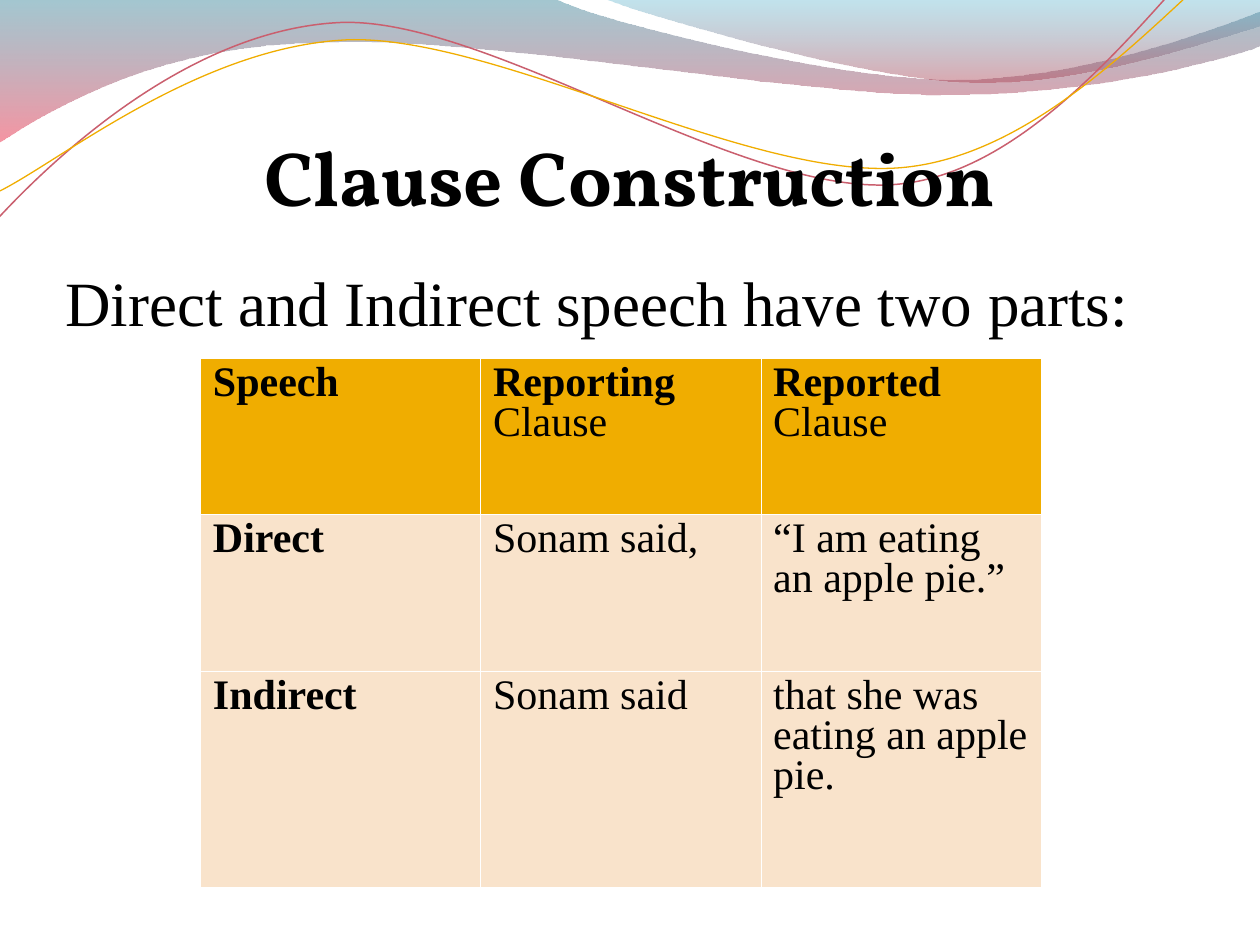
from lxml import etree
from pptx import Presentation, util as u
from pptx.dml.color import RGBColor
from pptx.enum import text
from pptx.oxml import ns

Inches, Pt = u.Inches, u.Pt

BLACK = RGBColor(0x00, 0x00, 0x00)
WHITE = RGBColor(0xFF, 0xFF, 0xFF)
GOLD = RGBColor(0xF0, 0xAD, 0x00)
CREAM = RGBColor(0xF9, 0xE3, 0xCB)
ROSE = RGBColor(0xCA, 0x5F, 0x6E)
TEAL = RGBColor(0x3C, 0x89, 0x9D)
CORAL = RGBColor(0xEF, 0x43, 0x5B)
SKY = RGBColor(0x40, 0xAA, 0xC7)
CRIMSON = RGBColor(0xB6, 0x40, 0x50)

SERIF = "Times New Roman"
DISPLAY = "Vollkorn"

# Outlines in inches: a point pair is a line, three point pairs are a Bezier curve
BROAD_WAVE = [(0, -0.01), (4.4, -0.01),
              (4.76, 0.17, 6.64, 0.63, 7.58, 0.63),
              (8.53, 0.63, 9.58, 0.26, 10, 0.09),
              (10.01, 0.36),
              (9.83, 0.44, 8.7, 0.76, 7.46, 0.75),
              (6.22, 0.75, 3.82, 0.28, 2.57, 0.34),
              (1.29, 0.35, 0.46, 0.83, -0.01, 1.13),
              (0, -0.01)]
RIGHT_WAVE = [(4.79, -0.01),
              (5.09, 0.11, 6.82, 0.62, 7.69, 0.65),
              (8.56, 0.69, 9.61, 0.32, 10, 0.21),
              (10, 0), (4.79, -0.01)]
# The strands are level here and tilted as shapes
STRAND_TILT = 357
ROSE_STRAND = [(-0.09, 1.49),
               (0.4, 1.01, 1.53, 0.05, 2.73, 0.06),
               (3.93, 0.08, 5.91, 1.67, 7.13, 1.57),
               (8.35, 1.48, 9.44, -0.09, 10.05, -0.52)]
GOLD_STRAND = [(-0.08, 1.27),
               (0.4, 1.08, 1.59, 0.18, 2.8, 0.2),
               (4.01, 0.24, 5.97, 1.52, 7.17, 1.44),
               (8.39, 1.36, 9.46, 0.08, 10.07, -0.27)]

CLAUSES = [["Speech", "Reporting Clause", "Reported Clause"],
           ["Direct", "Sonam said,", "“I am eating an apple pie.”"],
           ["Indirect", "Sonam said", "that she was eating an apple pie."]]
ROW_HEIGHTS = [1.24, 1.25, 1.71]


def add_curve(shapes, left, top, outline, close):
    """Draw an outline, bending each run of three points into one Bezier curve."""
    points = [(Inches(left + step[i]), Inches(top + step[i + 1]))
              for step in outline for i in range(0, len(step), 2)]
    builder = shapes.build_freeform(*points[0], scale=1.0)
    builder.add_line_segments(points[1:], close=close)
    curve = builder.convert_to_shape()
    curve.shadow.inherit = False
    segments = iter(list(curve._element.iter(ns.qn("a:lnTo"))))
    for step in outline[1:]:
        segment = next(segments)
        if len(step) == 6:
            segment.tag = ns.qn("a:cubicBezTo")
            for _ in range(2):
                control = next(segments)
                segment.append(control[0])
                control.getparent().remove(control)
    return curve


def add_wave(shapes, left, top, outline, stops):
    wave = add_curve(shapes, left, top, outline, close=True)
    wave.line.fill.background()
    wave.fill.gradient()
    wave.fill.gradient_angle = 270
    for stop, (color, _) in zip(wave.fill.gradient_stops, stops):
        stop.color.rgb = color
    for tint, (_, opacity) in zip(wave._element.spPr.iter(ns.qn("a:srgbClr")), stops):
        etree.SubElement(tint, ns.qn("a:alpha"), val=str(opacity * 1000))


def add_strand(shapes, left, top, outline, color, width):
    strand = add_curve(shapes, left, top, outline, close=False)
    strand.rotation = STRAND_TILT
    strand.fill.background()
    strand.line.color.rgb = color
    strand.line.width = Pt(width)


def add_header_art(slide, left, top):
    add_wave(slide.shapes, left, top, BROAD_WAVE, [(TEAL, 47), (CORAL, 57)])
    add_wave(slide.shapes, left, top, RIGHT_WAVE, [(SKY, 32), (CRIMSON, 47)])
    strands = slide.shapes.add_group_shape().shapes
    add_strand(strands, left, top, ROSE_STRAND, ROSE, 0.85)
    add_strand(strands, left, top, GOLD_STRAND, GOLD, 0.75)


def style_font(font, name, size, bold=False):
    font.name, font.size, font.bold = name, Pt(size), bold
    font.color.rgb = BLACK


def add_title(slide, left, top, width, height):
    title = slide.shapes.add_textbox(Inches(left), Inches(top), Inches(width), Inches(height))
    frame = title.text_frame
    frame.word_wrap = True
    frame.vertical_anchor = text.MSO_ANCHOR.MIDDLE
    frame.margin_left = frame.margin_right = frame.margin_top = frame.margin_bottom = 0
    frame.text = "Clause Construction"
    heading = frame.paragraphs[0]
    heading.alignment = text.PP_ALIGN.CENTER
    style_font(heading.runs[0].font, DISPLAY, 44, bold=True)


def add_intro(slide, left, top, width, height):
    intro = slide.shapes.add_textbox(Inches(left), Inches(top), Inches(width), Inches(height))
    frame = intro.text_frame
    frame.word_wrap = True
    frame.text = "Direct and Indirect speech have two parts:"
    style_font(frame.paragraphs[0].runs[0].font, SERIF, 36)


def set_borders(cell):
    props = cell._tc.get_or_add_tcPr()
    for i, (side, width) in enumerate([("L", 0.11), ("R", 0.11), ("T", 0.34), ("B", 0.34)]):
        border = etree.Element(ns.qn(f"a:ln{side}"), w=str(Pt(width)))
        fill = etree.SubElement(border, ns.qn("a:solidFill"))
        etree.SubElement(fill, ns.qn("a:srgbClr"), val=str(WHITE))
        props.insert(i, border)


def add_clause_table(slide, left, top, width, height):
    frame = slide.shapes.add_table(len(CLAUSES), len(CLAUSES[0]), Inches(left), Inches(top),
                                   Inches(width), Inches(height))
    table = frame.table
    for row, row_height in zip(table.rows, ROW_HEIGHTS):
        row.height = Inches(row_height)
    for r, words in enumerate(CLAUSES):
        for c, wording in enumerate(words):
            cell = table.cell(r, c)
            cell.fill.solid()
            cell.fill.fore_color.rgb = GOLD if r == 0 else CREAM
            set_borders(cell)
            paragraph = cell.text_frame.paragraphs[0]
            paragraph.line_spacing = 0.86
            # Only the first word of a column or row heading is bold
            if r == 0 or c == 0:
                first, gap, rest = wording.partition(" ")
                parts = [(first, True), (gap + rest, False)]
            else:
                parts = [(wording, False)]
            for part, bold in parts:
                if part:
                    run = paragraph.add_run()
                    run.text = part
                    style_font(run.font, SERIF, 24, bold)


def main():
    deck = Presentation()
    deck.slide_width, deck.slide_height = Inches(10), Inches(7.5)
    slide = deck.slides.add_slide(deck.slide_layouts[6])
    add_header_art(slide, 0, 0)
    add_title(slide, 0.5, 0.77, 9, 1.25)
    add_intro(slide, 0.42, 2.04, 9.15, 4.21)
    add_clause_table(slide, 1.59, 2.84, 6.67, sum(ROW_HEIGHTS))
    deck.save("out.pptx")


if __name__ == "__main__":
    main()
